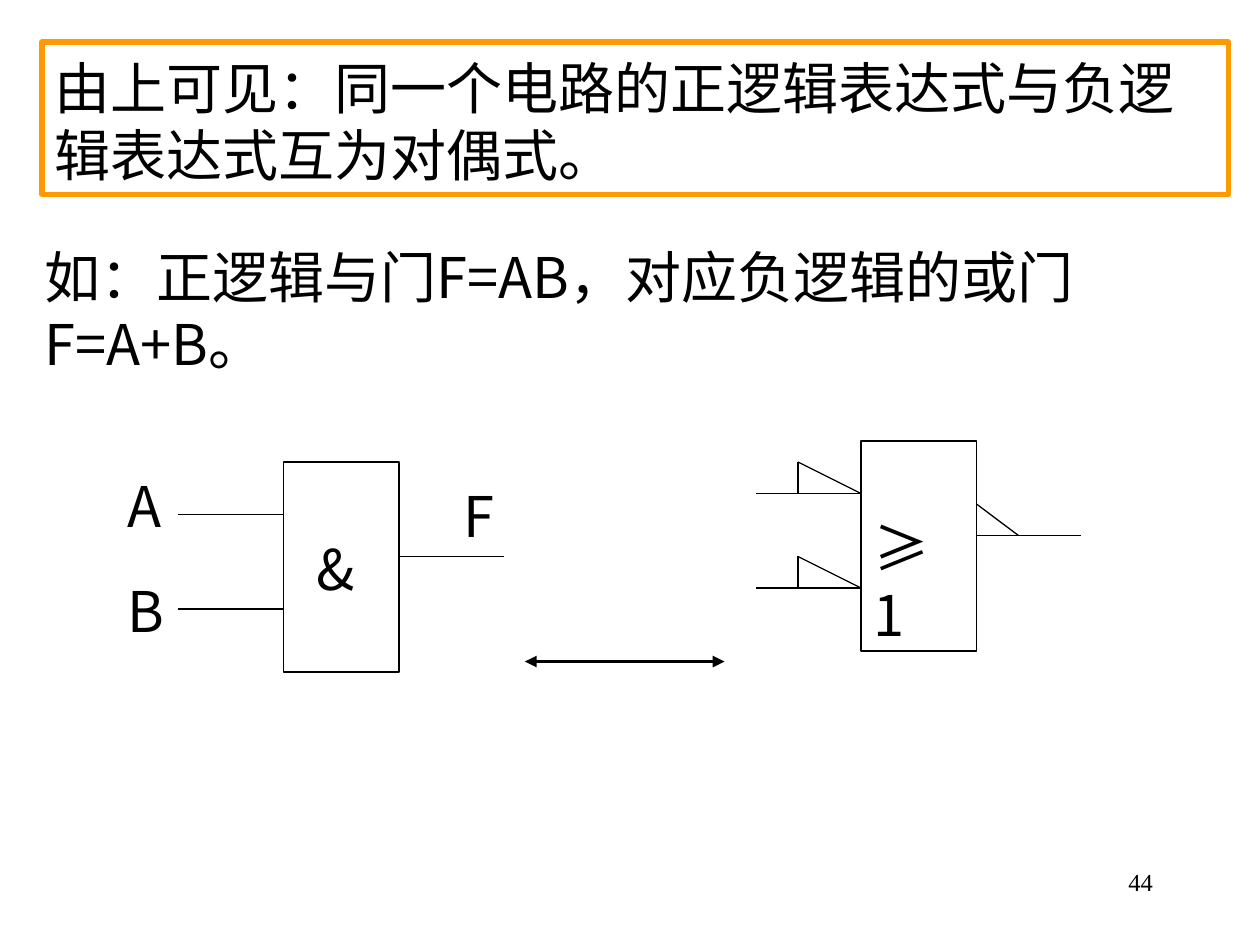
from dataclasses import dataclass

import pptx
import pptx.dml.color
import pptx.enum.shapes
import pptx.enum.text
import pptx.oxml
import pptx.oxml.ns
import pptx.util
from lxml import etree

COLUMNS, ROWS = 120, 90
WIDTH, HEIGHT = pptx.util.Inches(10), pptx.util.Inches(7.5)
ALIGN = pptx.enum.text.PP_ALIGN


@dataclass(frozen=True)
class Theme:
    ink: str = "000000"
    accent: str = "FF9900"
    text_font: str = "Noto Sans CJK SC"
    number_font: str = "Times New Roman"
    text_size: float = 32
    line_height: float = 38.3
    number_size: float = 14
    thin: float = 0.75
    thick: float = 2.25
    border: float = 3


@dataclass(frozen=True)
class Area:
    column: float
    row: float
    columns: float
    rows: float


@dataclass(frozen=True)
class Wire:
    start: tuple[float, float]
    end: tuple[float, float]
    arrow: bool = False


@dataclass(frozen=True)
class Label:
    text: str
    area: Area


THEME = Theme()
CONCLUSION = Label("由上可见：同一个电路的正逻辑表达式与负逻辑表达式互为对偶式。", Area(4, 4, 113, 14.5))
EXAMPLE = Label("如：正逻辑与门F=AB，对应负逻辑的或门F=A+B。", Area(3, 22, 117, 14))
PAGE_NUMBER = Label("44", Area(86, 82, 25, 6))
AND_GATE = Area(27, 44, 11, 20)
OR_GATE = Area(82, 42, 11, 20)
SYMBOLS = [
    Label("A", Area(11, 43.8, 5, 7.5)),
    Label("B", Area(11, 53.8, 5, 7.5)),
    Label("F", Area(43, 44.8, 5, 7.5)),
    Label("&", Area(29, 49.8, 5, 7.5)),
    Label("≥1", Area(82, 47.8, 10, 14)),
]
EQUIVALENCE = [Wire((53, 63), (69, 63), True), Wire((57, 63), (50, 63), True)]


def x(column: float) -> int:
    return round(WIDTH * column / COLUMNS)


def y(row: float) -> int:
    return round(HEIGHT * row / ROWS)


def bounds(area: Area) -> tuple[int, int, int, int]:
    return x(area.column), y(area.row), x(area.columns), y(area.rows)


def color(value: str) -> pptx.dml.color.RGBColor:
    return pptx.dml.color.RGBColor.from_string(value)


def place(shape, area: Area) -> None:
    shape.left, shape.top, shape.width, shape.height = bounds(area)


def outline(shape, line_color: str, width: float) -> None:
    shape.line.color.rgb = color(line_color)
    shape.line.width = pptx.util.Pt(width)


def write(shape, text: str, font: str, size: float, align: ALIGN = ALIGN.LEFT) -> None:
    frame = shape.text_frame
    frame.text = text
    frame.word_wrap = True
    frame.auto_size = pptx.enum.text.MSO_AUTO_SIZE.NONE
    frame.vertical_anchor = pptx.enum.text.MSO_ANCHOR.TOP
    paragraph = frame.paragraphs[0]
    paragraph.alignment = align
    paragraph.space_before = pptx.util.Pt(0)
    run = paragraph.runs[0]
    run.font.size = pptx.util.Pt(size)
    run.font.name = font
    run.font.color.rgb = color(THEME.ink)
    east_asian = etree.SubElement(run.font._element, pptx.oxml.ns.qn("a:ea"))
    east_asian.set("typeface", font)


def write_logic(shape, text: str) -> None:
    write(shape, text, THEME.text_font, THEME.text_size)
    shape.text_frame.margin_top = pptx.util.Inches(0.09)
    shape.text_frame.paragraphs[0].line_spacing = pptx.util.Pt(THEME.line_height)


def remove_bullet(paragraph) -> None:
    properties = paragraph._p.get_or_add_pPr()
    properties.set("marL", "0")
    properties.set("indent", "0")
    etree.SubElement(properties, pptx.oxml.ns.qn("a:buNone"))


def draw_gate(circuit, area: Area) -> None:
    gate = circuit.shapes.add_shape(pptx.enum.shapes.MSO_SHAPE.RECTANGLE, *bounds(area))
    gate.shadow.inherit = False
    gate.fill.background()
    outline(gate, THEME.ink, THEME.thin)


def draw_wire(circuit, wire: Wire) -> None:
    line = circuit.shapes.add_connector(
        pptx.enum.shapes.MSO_CONNECTOR.STRAIGHT,
        x(wire.start[0]), y(wire.start[1]), x(wire.end[0]), y(wire.end[1]),
    )
    outline(line, THEME.ink, THEME.thick if wire.arrow else THEME.thin)
    if wire.arrow:
        tail = etree.SubElement(line.line._get_or_add_ln(), pptx.oxml.ns.qn("a:tailEnd"))
        tail.set("type", "triangle")
    etree.SubElement(line._element.spPr, pptx.oxml.ns.qn("a:effectLst"))


def input_wire(gate: Area, row: float) -> Wire:
    return Wire((gate.column, row), (gate.column - 10, row))


def output_wire(gate: Area) -> Wire:
    edge, row = gate.column + gate.columns, gate.row + 9
    return Wire((edge, row), (edge + 10, row))


def negation_wires(gate: Area, row: float) -> list[Wire]:
    peak = (gate.column - 6, row - 3)
    return [Wire((peak[0], row), peak), Wire(peak, (gate.column, row))]


def draw_circuit(slide) -> None:
    circuit = slide.shapes.add_group_shape()
    wires = list(EQUIVALENCE)
    for gate in (AND_GATE, OR_GATE):
        draw_gate(circuit, gate)
        inputs = [gate.row + 5, gate.row + 14]
        wires += [input_wire(gate, row) for row in inputs] + [output_wire(gate)]
        if gate is OR_GATE:
            for row in inputs:
                wires += negation_wires(gate, row)
            edge = gate.column + gate.columns
            wires.append(Wire((edge, gate.row + 6), (edge + 4, gate.row + 9)))
    for wire in wires:
        draw_wire(circuit, wire)
    for symbol in SYMBOLS:
        write_logic(circuit.shapes.add_textbox(*bounds(symbol.area)), symbol.text)


def main() -> None:
    presentation = pptx.Presentation()
    presentation.slide_width, presentation.slide_height = WIDTH, HEIGHT
    slide = presentation.slides.add_slide(presentation.slide_layouts[1])

    conclusion = slide.shapes.title
    place(conclusion, CONCLUSION.area)
    write_logic(conclusion, CONCLUSION.text)
    outline(conclusion, THEME.accent, THEME.border)

    example = slide.placeholders[1]
    place(example, EXAMPLE.area)
    write_logic(example, EXAMPLE.text)
    remove_bullet(example.text_frame.paragraphs[0])

    draw_circuit(slide)
    number = slide.shapes.add_textbox(*bounds(PAGE_NUMBER.area))
    write(number, PAGE_NUMBER.text, THEME.number_font, THEME.number_size, ALIGN.RIGHT)
    presentation.save("out.pptx")


if __name__ == "__main__":
    main()
